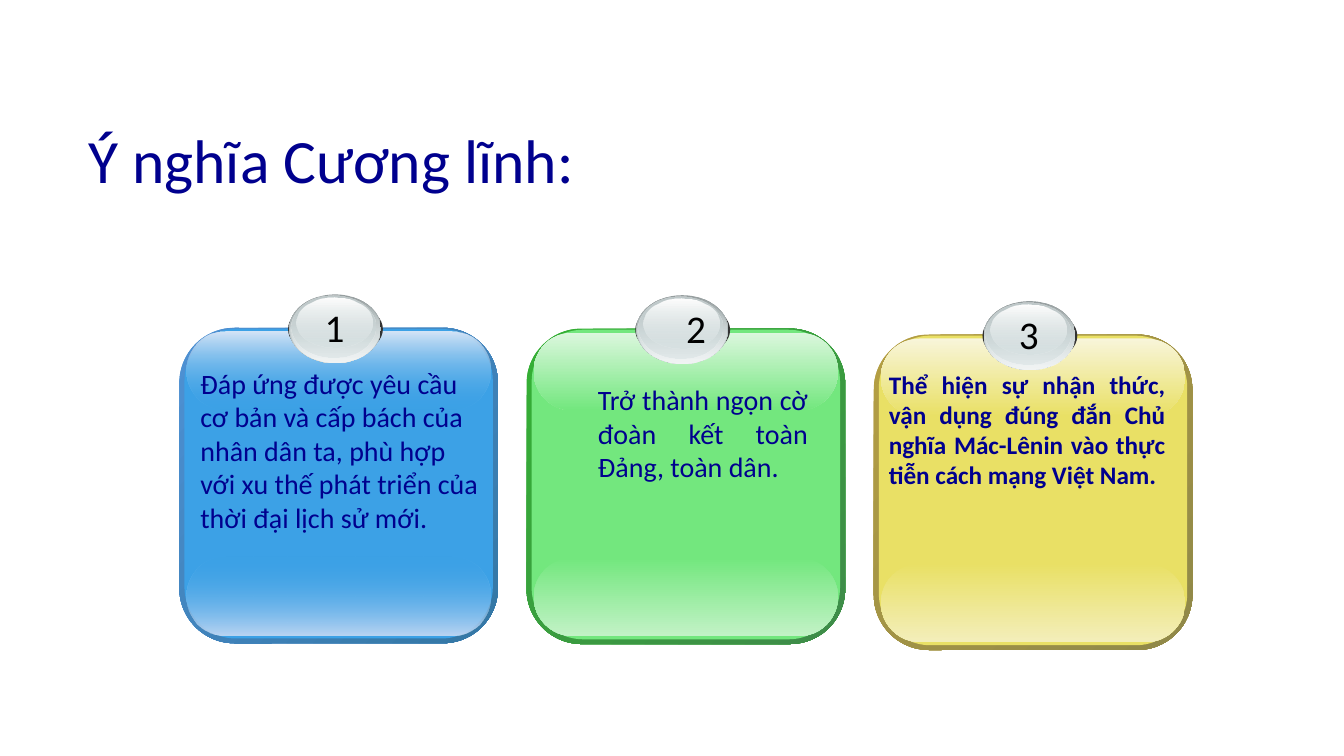
from pptx import Presentation
from pptx.dml.color import RGBColor
from pptx.enum.shapes import MSO_SHAPE
from pptx.enum.text import MSO_ANCHOR, PP_ALIGN
from pptx.oxml import parse_xml
from pptx.oxml.ns import nsdecls, qn
from pptx.util import Cm, Pt

THEME = {
    "font": "Calibri", "ink": "00008E", "number_ink": "000000",
    "title_size": 44, "number_size": 28,
    "button_base": "333333",
}

TITLE = "Ý nghĩa Cương lĩnh:"

CARDS = [
    {"number": "1", "top": 8.26, "number_width": 1.02,
     "text": "Đáp ứng được yêu cầu cơ bản và cấp bách của nhân dân ta, phù hợp "
             "với xu thế phát triển của thời đại lịch sử mới.",
     "text_box": (0.28, 0.84, 7.62, 4.52), "size": 20, "bold": False,
     "align": PP_ALIGN.LEFT, "indent": 0,
     "rim": ("4E91D4", "3477A4"), "face": "3CA1E6",
     "shine": "D6E5F7", "glow": "BBD5F3", "fade": 0},
    {"number": "2", "top": 8.28, "number_width": 1.75,
     "text": "Trở thành ngọn cờ đoàn kết toàn Đảng, toàn dân.",
     "text_box": (0.28, 1.24, 7.06, 2.64), "size": 20, "bold": False,
     "align": PP_ALIGN.JUSTIFY, "indent": 1.27,
     "rim": ("34B034", "3F8B4A"), "face": "73E77E",
     "shine": "DCF7DE", "glow": "C2F2C6", "fade": 100},
    {"number": "3", "top": 8.43, "number_width": 1.02,
     "text": "Thể hiện sự nhận thức, vận dụng đúng đắn Chủ nghĩa Mác-Lênin "
             "vào thực tiễn cách mạng Việt Nam.",
     "text_box": (-1.14, 0.74, 8.74, 3.33), "size": 18, "bold": True,
     "align": PP_ALIGN.JUSTIFY, "indent": 1.27,
     "rim": ("B59F43", "8F8849"), "face": "E9E065",
     "shine": "F8F5DA", "glow": "F3EEBA", "fade": 100},
]

BUTTON_LAYERS = [
    ((2.77, -0.84, 2.31, 1.73), ("969E9F", 100), ("D6E1E2", 100)),
    ((2.79, -0.81, 2.26, 1.68), ("D6E1E2", 0), ("F2F5F5", 100)),
    ((2.82, -0.81, 2.13, 1.57), ("C0CACB", 100), ("D6E1E2", 48)),
    ((2.95, -0.76, 1.91, 1.27), ("FFFFFF", 100), ("D6E1E2", 38)),
]

FIRST_LEFT, CARD_STEP = 4.52, 8.75
DOWN, DIAGONAL = 270, 315


def place(origin, area):
    left, top, width, height = area
    return Cm(origin[0] + left), Cm(origin[1] + top), Cm(width), Cm(height)


def add_solid(group, kind, origin, area, color, corner=None):
    shape = group.shapes.add_shape(kind, *place(origin, area))
    shape.shadow.inherit = False
    shape.line.fill.background()
    shape.fill.solid()
    shape.fill.fore_color.rgb = RGBColor.from_string(color)
    if corner is not None:
        shape.adjustments[0] = corner
    return shape


def add_gradient(group, kind, origin, area, start, end, angle, corner=None):
    shape = add_solid(group, kind, origin, area, start[0], corner)
    shape.fill.gradient()
    shape.fill.gradient_angle = angle
    for stop, (color, _), position in zip(shape.fill.gradient_stops, (start, end), (0, 1)):
        stop.color.rgb = RGBColor.from_string(color)
        stop.position = position
    colors = shape.element.spPr.iter(qn("a:srgbClr"))
    for node, (_, opacity) in zip(list(colors), (start, end)):
        if opacity < 100:
            node.append(parse_xml(f'<a:alpha {nsdecls("a")} val="{opacity * 1000}"/>'))


def add_text(parent, origin, area, text, size, color, align=PP_ALIGN.LEFT, bold=False, wrap=True):
    box = parent.shapes.add_textbox(*place(origin, area))
    frame = box.text_frame
    frame.word_wrap = wrap
    frame.text = text
    para = frame.paragraphs[0]
    para.alignment = align
    span = para.runs[0]
    span.font.name = THEME["font"]
    span.font.size = Pt(size)
    span.font.bold = bold
    span.font.color.rgb = RGBColor.from_string(color)
    return frame


def add_card(page, card, left):
    origin = (left, card["top"])
    group = page.shapes.add_group_shape()
    rounded, oval = MSO_SHAPE.ROUNDED_RECTANGLE, MSO_SHAPE.OVAL
    rim_start, rim_end = card["rim"]
    base = (card["face"], card["fade"])
    add_gradient(group, rounded, origin, (0, 0, 8.03, 7.95),
                 (rim_start, 100), (rim_end, 100), DIAGONAL, 0.175)
    add_solid(group, rounded, origin, (0.13, 0.03, 7.77, 7.8), card["face"], 0.167)
    add_gradient(group, rounded, origin, (0.18, 5.77, 7.67, 1.98),
                 base, (card["glow"], 100), DOWN, 0.5)
    add_gradient(group, rounded, origin, (0.18, 0.1, 7.67, 1.96),
                 (card["shine"], 100), base, DOWN, 0.5)
    add_solid(group, oval, origin, (2.74, -0.69, 2.39, 1.45), THEME["button_base"])
    for area, start, end in BUTTON_LAYERS:
        add_gradient(group, oval, origin, area, start, end, DOWN)
    add_text(group, origin, (3.4, -0.74, card["number_width"], 1.45), card["number"],
             THEME["number_size"], THEME["number_ink"], PP_ALIGN.CENTER, wrap=False)
    frame = add_text(group, origin, card["text_box"], card["text"], card["size"],
                     THEME["ink"], card["align"], card["bold"])
    if card["indent"]:
        properties = frame.paragraphs[0]._p.get_or_add_pPr()
        properties.set("marL", str(Cm(card["indent"])))
        properties.set("indent", "0")


def main():
    deck = Presentation()
    deck.slide_width, deck.slide_height = Cm(33.87), Cm(19.05)
    page = deck.slides.add_slide(deck.slide_layouts[6])
    title = add_text(page, (0, 0), (1.98, 2.54, 22.02, 3.18), TITLE,
                     THEME["title_size"], THEME["ink"])
    title.vertical_anchor = MSO_ANCHOR.MIDDLE
    title.paragraphs[0].line_spacing = 0.9
    for index, card in enumerate(CARDS):
        add_card(page, card, FIRST_LEFT + index * CARD_STEP)
    deck.save("out.pptx")


if __name__ == "__main__":
    main()
